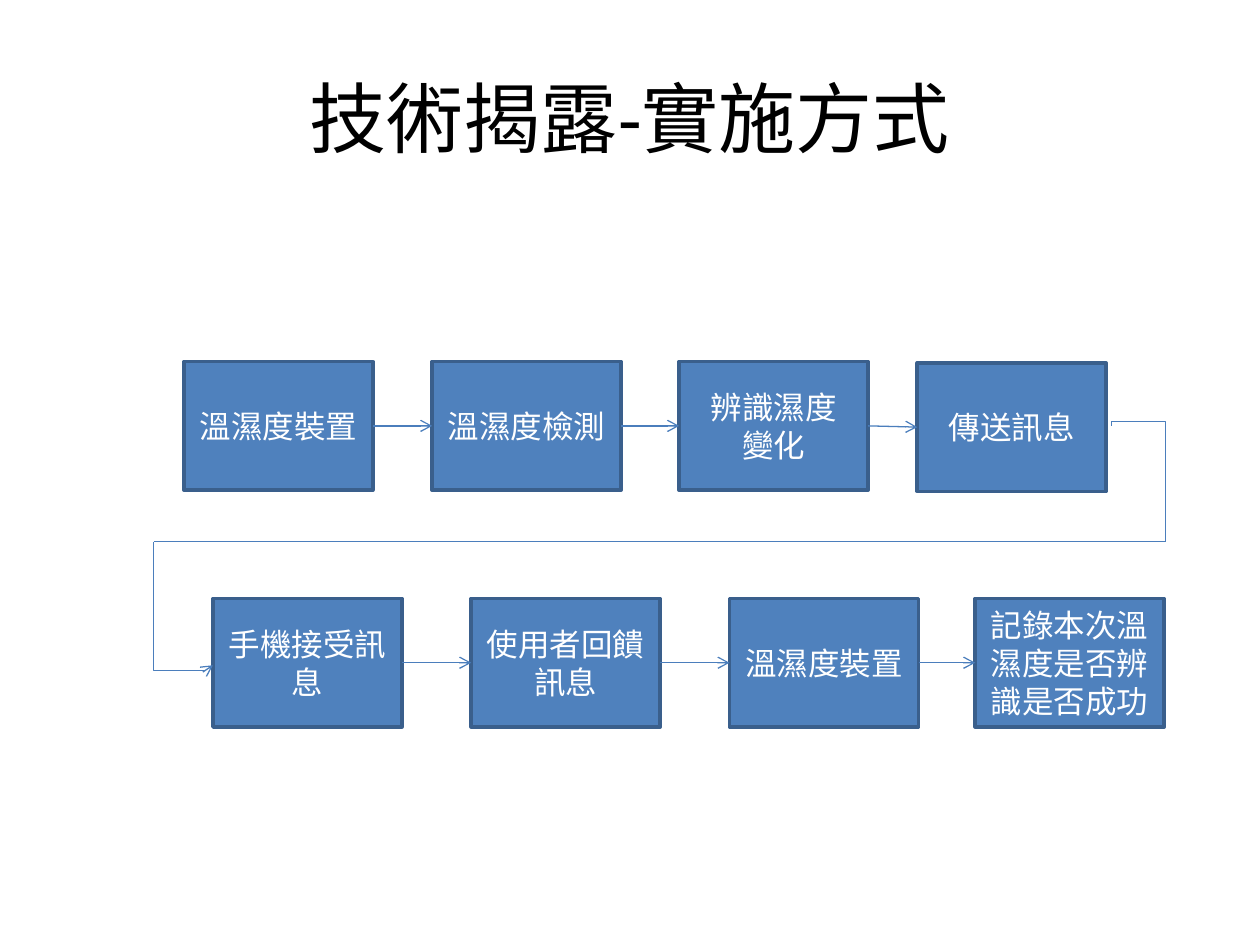
"""Build a slide with a two-row flow of eight steps."""
import pptx
import pptx.dml.color
import pptx.enum.shapes
import pptx.enum.text
import pptx.oxml.ns
import pptx.util
from lxml import etree

Inches = pptx.util.Inches
Pt = pptx.util.Pt
qn = pptx.oxml.ns.qn
Link = pptx.enum.shapes.MSO_CONNECTOR


def hue(code):
    return pptx.dml.color.RGBColor.from_string(code)


class Chart:
    font = "Calibri"
    fill, edge, wire = "4F81BD", "3A5F8C", "4B7EBC"
    wide, high = 1.5, 1.02

    def __init__(self, slide):
        self.slide = slide

    def label(self, shape, text, size, color):
        frame = shape.text_frame
        frame.word_wrap = True
        frame.vertical_anchor = pptx.enum.text.MSO_ANCHOR.MIDDLE
        frame.text = text
        for para in frame.paragraphs:
            para.alignment = pptx.enum.text.PP_ALIGN.CENTER
            for run in para.runs:
                run.font.name = self.font
                run.font.size = Pt(size)
                run.font.color.rgb = hue(color)

    def title(self, text, *place):
        box = self.slide.shapes.add_textbox(*map(Inches, place))
        self.label(box, text, 44, "000000")

    def step(self, text, left, top):
        kind = pptx.enum.shapes.MSO_SHAPE.RECTANGLE
        place = map(Inches, (left, top, self.wide, self.high))
        box = self.slide.shapes.add_shape(kind, *place)
        box.shadow.inherit = False
        box.fill.solid()
        box.fill.fore_color.rgb = hue(self.fill)
        box.line.color.rgb = hue(self.edge)
        box.line.width = Pt(2)
        self.label(box, text, 18, "FFFFFF")

    def line(self, start, end, arrow=False, kind=Link.STRAIGHT):
        ends = map(Inches, (*start, *end))
        link = self.slide.shapes.add_connector(kind, *ends)
        link.line.color.rgb = hue(self.wire)
        link.line.width = Pt(0.75)
        props = link.element.spPr
        if arrow:
            etree.SubElement(props.find(qn("a:ln")), qn("a:tailEnd"),
                             type="arrow")
        etree.SubElement(props, qn("a:effectLst"))
        return link

    def bend(self, start, end, ratio, arrow=False):
        """Draw an elbow that leaves and enters vertically."""
        (x1, y1), (x2, y2) = start, end
        midx, midy = (x1 + x2) / 2, (y1 + y2) / 2
        dx, dy = (y2 - y1) / 2, (x2 - x1) / 2
        link = self.line((midx - dx, midy - dy), (midx + dx, midy + dy),
                         arrow, Link.ELBOW)
        props = link.element.spPr
        frame = props.find(qn("a:xfrm"))
        frame.set("rot", "16200000")
        frame.set("flipH", "1")
        guides = props.find(qn("a:prstGeom")).find(qn("a:avLst"))
        etree.SubElement(guides, qn("a:gd"), name="adj1",
                         fmla=f"val {round(ratio * 100000)}")

    def row(self, steps):
        for text, left, top in steps:
            self.step(text, left, top)
        for (_, left, top), (_, right, low) in zip(steps, steps[1:]):
            self.line((left + self.wide, top + self.high / 2),
                      (right, low + self.high / 2), True)


def main():
    deck = pptx.Presentation()
    deck.slide_width, deck.slide_height = Inches(10), Inches(7.5)
    chart = Chart(deck.slides.add_slide(deck.slide_layouts[6]))
    chart.title("技術揭露-實施方式", 0.5, 0.3, 9, 1.25)
    chart.row([("溫濕度裝置", 1.46, 2.87), ("溫濕度檢測", 3.43, 2.87),
               ("辨識濕度\n變化", 5.39, 2.87), ("傳送訊息", 7.28, 2.88)])
    chart.row([("手機接受訊息", 1.69, 4.75), ("使用者回饋訊息", 3.74, 4.75),
               ("溫濕度裝置", 5.79, 4.75),
               ("記錄本次溫濕度是否辨識是否成功", 7.74, 4.75)])
    right, left = (9.25, 4.3), (1.22, 4.3)
    chart.bend((8.82, 3.38), right, -0.04)
    chart.line(right, left)
    chart.bend(left, (1.69, 5.28), 1.04, True)
    deck.save("out.pptx")


if __name__ == "__main__":
    main()
